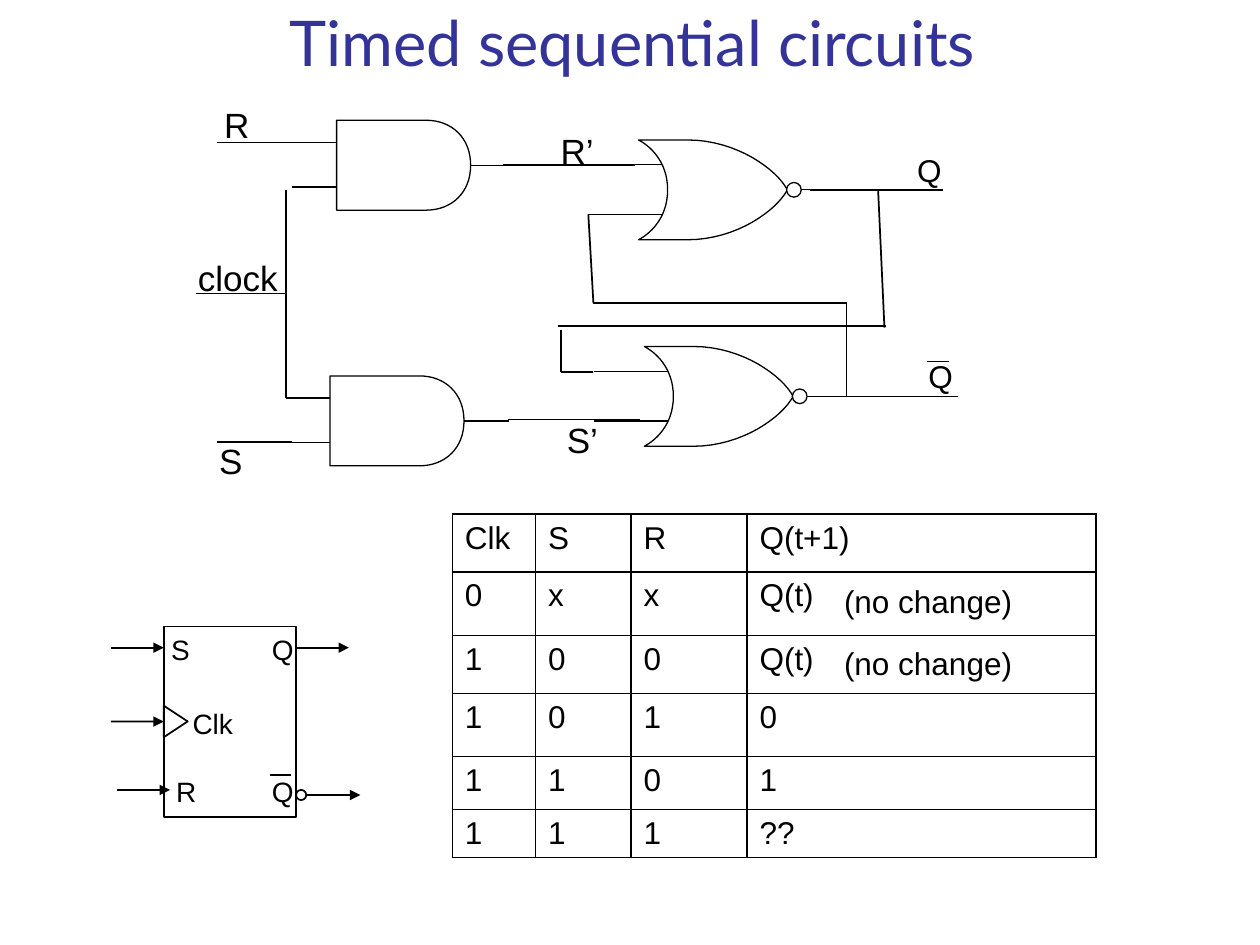
from lxml import etree
from pptx import Presentation
from pptx.dml.color import RGBColor
from pptx.enum.shapes import MSO_CONNECTOR, MSO_SHAPE
from pptx.enum.text import MSO_ANCHOR, MSO_AUTO_SIZE, PP_ALIGN
from pptx.oxml.ns import qn
from pptx.util import Pt

STRAIGHT = MSO_CONNECTOR.STRAIGHT
RECT, TRIANGLE, OVAL = MSO_SHAPE.RECTANGLE, MSO_SHAPE.ISOSCELES_TRIANGLE, MSO_SHAPE.OVAL
BOTTOM, CENTER, NO_FIT = MSO_ANCHOR.BOTTOM, PP_ALIGN.CENTER, MSO_AUTO_SIZE.NONE
BLACK, WHITE, NAVY = "000000", "FFFFFF", "333399"
THIN, BOLD = 0.75, 1


def color(code):
    return RGBColor.from_string(code)


def write(frame, text, size, font="Arial", ink=BLACK):
    run = frame.paragraphs[0].add_run()
    run.text = text
    run.font.size, run.font.name = Pt(size), font
    run.font.color.rgb = color(ink)


def bezier(a, b, c, d, steps=16):
    """Points along a cubic curve, without its first point."""
    points = []
    for i in range(1, steps + 1):
        t = i / steps
        u = 1 - t
        points.append(tuple(u**3 * p + 3 * u * u * t * q + 3 * u * t * t * r + t**3 * s
                            for p, q, r, s in zip(a, b, c, d)))
    return points


class Area:
    """Draws parts at positions relative to its top left corner."""

    def __init__(self, shapes, left, top):
        self.shapes, self.left, self.top = shapes, left, top

    def at(self, x, y):
        return Pt(self.left + x), Pt(self.top + y)

    def inner(self, x, y):
        return Area(self.shapes, self.left + x, self.top + y)

    def line(self, x1, y1, x2, y2, width=BOLD, arrow=False):
        wire = self.shapes.add_connector(STRAIGHT, *self.at(x1, y1), *self.at(x2, y2))
        wire.line.color.rgb, wire.line.width = color(BLACK), Pt(width)
        if arrow:
            etree.SubElement(wire.line._get_or_add_ln(), qn("a:tailEnd"), type="triangle")
        etree.SubElement(wire._element.spPr, qn("a:effectLst"))
        return wire

    def style(self, shape, fill, width):
        shape.shadow.inherit = False
        if fill:
            shape.fill.solid()
            shape.fill.fore_color.rgb = color(fill)
        else:
            shape.fill.background()
        shape.line.color.rgb, shape.line.width = color(BLACK), Pt(width)
        return shape

    def shape(self, kind, x, y, w, h, fill=None, width=BOLD):
        part = self.shapes.add_shape(kind, *self.at(x, y), Pt(w), Pt(h))
        return self.style(part, fill, width)

    def outline(self, points):
        spots = [self.at(*point) for point in points]
        maker = self.shapes.build_freeform(*spots[0], scale=1.0)
        maker.add_line_segments(spots[1:], close=True)
        self.style(maker.convert_to_shape(), WHITE, THIN)

    def text(self, words, x, y, w, size):
        box = self.shapes.add_textbox(*self.at(x, y), Pt(w), Pt(size * 1.2 + 7.2))
        box.text_frame.word_wrap = True
        write(box.text_frame, words, size)


def draw_and(area):
    for y in (12.7, 38.2):
        area.line(-25.3, y, 0, y, THIN)
    area.line(76.6, 25.7, 102, 25.7, THIN)
    area.outline([(0, 0), (51, 0)]
                 + bezier((51, 0), (66, 0), (76.6, 10.2), (76.6, 25.7))
                 + bezier((76.6, 25.7), (76.6, 41.2), (66, 51.4), (51, 51.4))
                 + [(0, 51.4)])


def draw_nor(area):
    for y in (14.2, 42.6):
        area.line(-28.6, y, 13.7, y, THIN)
    area.line(93, 28.5, 113, 28.5, THIN)
    area.outline([(0, 0), (28, 0)]
                 + bezier((28, 0), (56.2, 0), (79, 17), (85, 28.5))
                 + bezier((85, 28.5), (79, 40), (56.2, 57), (28, 57))
                 + [(0, 57)]
                 + bezier((0, 57), (5.8, 54), (16.6, 45.3), (16.6, 28.5))
                 + bezier((16.6, 28.5), (16.6, 11.7), (5.8, 3), (0, 0)))
    area.shape(OVAL, 84.6, 24.3, 8.4, 8.4, WHITE, THIN)


def draw_latch(area):
    # Gates
    for spot in ((258.9, 25), (262.2, 143)):
        draw_nor(area.inner(*spot))
    for spot in ((86.4, 13.7), (82.6, 159.8)):
        draw_and(area.inner(*spot))
    # Wires
    for ends in (
        (17.8, 26.4, 61, 26.4), (17.8, 197.7, 61, 197.7),        # R and S
        (57.4, 172.5, 57.4, 53.7), (6.3, 112.8, 57.4, 112.8),    # clock
        (181.3, 39.3, 256.9, 39.3), (184.2, 184.8, 259.8, 184.8),  # R’ and S’
        (357, 53.7, 432.6, 53.7), (365.6, 171.6, 441.2, 171.6),  # outputs
        (230.2, 67.6, 233.1, 118), (233.1, 118, 377.8, 118),     # feedback up
        (377.8, 118, 377.8, 171.6),
        (395.8, 53.7, 399.4, 132.2), (400.2, 131.5, 213, 131.5),  # feedback down
        (214.4, 133.6, 214.4, 157.4), (214.4, 157.4, 233.1, 157.4),
        (423.9, 151.6, 436.2, 151.6),                            # bar over Q
    ):
        area.line(*ends)
    # Labels
    for label in (
        ("R", 15, 0.4, 34.6, 20), ("S", 12.1, 192.7, 37.4, 20),
        ("clock", 0, 88.3, 94.3, 20),
        ("R’", 207.2, 15.6, 34.6, 20), ("S’", 210.8, 180.4, 37.4, 20),
        ("Q", 411, 27.8, 51.1, 18), ("Q", 417.4, 145.2, 51.1, 18),
    ):
        area.text(*label)


def draw_block(area):
    body = area.shape(RECT, 30.6, 0, 75.6, 108.7)
    area.shape(TRIANGLE, 28.4, 47.4, 18, 13.7).rotation = 90
    area.shape(OVAL, 106.2, 93.4, 5.8, 5.8)
    # Pins
    clock = area.line(0.4, 54.3, 30.6, 54.3, arrow=True)
    clock.end_connect(body, 1)
    for x, y in ((0.4, 12.1), (4, 93.4), (106.2, 12.1), (112.7, 96.3)):
        area.line(x, y, x + 30.2, y, arrow=True)
    area.line(91.1, 84.8, 103.3, 84.8)
    # Labels
    for words, x, y in (("S", 27.7, 0), ("Clk", 40, 42.3), ("R", 30.6, 81.2),
                        ("Q", 85.3, 0), ("Q", 85.3, 81.2)):
        area.text(words, x, y, 38.9, 16)


def edge(cell):
    props = cell._tc.get_or_add_tcPr()
    for i, side in enumerate(("lnL", "lnR", "lnT", "lnB")):
        line = etree.Element(qn("a:" + side), w=str(Pt(BOLD)))
        fill = etree.SubElement(line, qn("a:solidFill"))
        etree.SubElement(fill, qn("a:srgbClr"), val=BLACK)
        props.insert(i, line)


def draw_truth(area):
    rows = (("Clk", "S", "R", "Q(t+1)"), ("0", "x", "x", "Q(t)"), ("1", "0", "0", "Q(t)"),
            ("1", "0", "1", "0"), ("1", "1", "0", "1"), ("1", "1", "1", "??"))
    widths, heights = (47.5, 54.7, 66.2, 199.4), (33.1, 36.2, 33.1, 36.2, 30.2, 27.6)
    frame = area.shapes.add_table(len(rows), len(widths), *area.at(0, 0),
                                  Pt(sum(widths)), Pt(sum(heights)))
    table = frame.table
    table.first_row = table.horz_banding = False
    for column, width in zip(table.columns, widths):
        column.width = Pt(width)
    for r, (row, height) in enumerate(zip(rows, heights)):
        table.rows[r].height = Pt(height)
        for c, words in enumerate(row):
            cell = table.cell(r, c)
            cell.fill.background()
            edge(cell)
            write(cell.text_frame, words, 18)
    # Remarks beside Q(t)
    for y in (35.2, 70.5):
        area.text("(no change)", 216.7, y, 112, 18)


def draw_title(title):
    title.left, title.top, title.width, title.height = Pt(90.7), Pt(3.6), Pt(541.4), Pt(45.4)
    frame = title.text_frame
    frame.auto_size, frame.vertical_anchor = NO_FIT, BOTTOM
    frame.paragraphs[0].alignment = CENTER
    write(frame, "Timed sequential circuits", 36, "Lato", NAVY)


def main():
    deck = Presentation()
    deck.slide_width, deck.slide_height = Pt(720), Pt(540)
    slide = deck.slides.add_slide(deck.slide_layouts[5])
    shapes = slide.shapes
    draw_title(shapes.title)
    draw_truth(Area(shapes, 258.5, 293.8))
    draw_latch(Area(shapes.add_group_shape().shapes, 106, 55))
    draw_block(Area(shapes.add_group_shape().shapes, 63, 358))
    deck.save("out.pptx")


if __name__ == "__main__":
    main()
